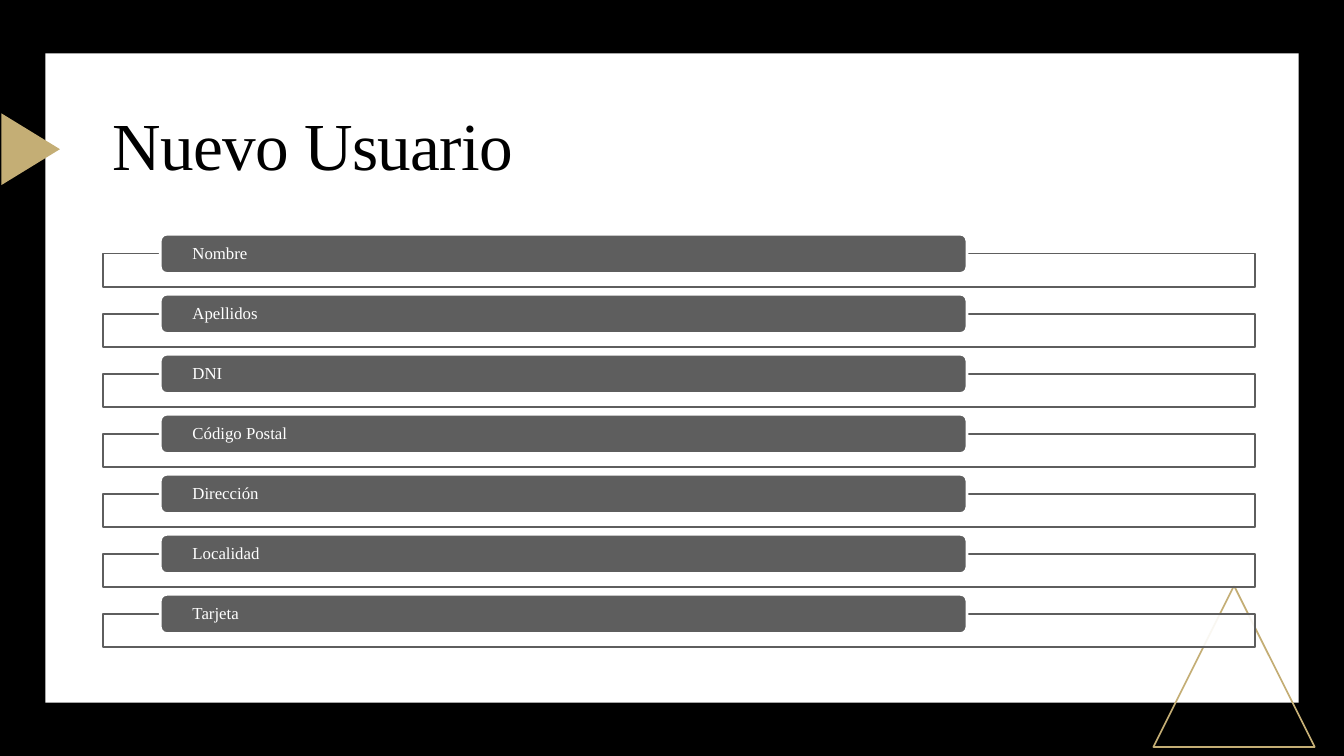
from dataclasses import dataclass
from typing import Optional

from lxml import etree
from pptx import Presentation
from pptx import util as u
from pptx.dml.color import RGBColor
from pptx.enum import shapes, text
from pptx.oxml import ns

BLACK = RGBColor(0x00, 0x00, 0x00)
WHITE = RGBColor(0xFF, 0xFF, 0xFF)
GOLD = RGBColor(0xC4, 0xAE, 0x75)
GREY = RGBColor(0x5E, 0x5E, 0x5E)
FONT = "Times New Roman"
WIDE, HIGH = u.Inches(13.33), u.Inches(7.5)
KIND = shapes.MSO_SHAPE
FIELDS = ["Nombre", "Apellidos", "DNI", "Código Postal", "Dirección", "Localidad", "Tarjeta"]
PITCH = 7.94


@dataclass(frozen=True)
class Area:
    """Percentages of the slide's width and height."""
    left: float
    top: float
    width: float
    height: float

    def down(self, row: int) -> "Area":
        return Area(self.left, self.top + row * PITCH, self.width, self.height)

    def size(self) -> tuple[int, ...]:
        pairs = ((self.left, WIDE), (self.top, HIGH), (self.width, WIDE), (self.height, HIGH))
        return tuple(round(share * full / 100) for share, full in pairs)


@dataclass(frozen=True)
class Style:
    kind: KIND
    fill: Optional[RGBColor] = None
    line: Optional[RGBColor] = None
    weight: float = 1.25
    alpha: int = 100
    turn: int = 0


PANEL = Style(KIND.RECTANGLE, WHITE)
PEAK = Style(KIND.ISOSCELES_TRIANGLE, line=GOLD)
MARK = Style(KIND.ISOSCELES_TRIANGLE, GOLD, turn=90)
FRAME = Style(KIND.RECTANGLE, WHITE, GREY, alpha=90)
BAR = Style(KIND.ROUNDED_RECTANGLE, GREY, WHITE, 2)

DECOR = [
    (PANEL, Area(3.38, 7.07, 93.25, 85.87)),
    (PEAK, Area(85.82, 77.47, 12, 21.33)),
    (MARK, Area(-0.38, 15.87, 5.33, 7.73)),
]
TITLE = Area(7.65, 13.07, 85.75, 13.33)
FRAMES = Area(7.65, 33.55, 85.75, 4.4)
BARS = Area(11.93, 30.97, 60.02, 5.2)


def draw(slide, style: Style, area: Area):
    shape = slide.shapes.add_shape(style.kind, *area.size())
    shape.shadow.inherit = False
    shape.rotation = style.turn
    if style.fill is None:
        shape.fill.background()
    else:
        shape.fill.solid()
        shape.fill.fore_color.rgb = style.fill
    if style.alpha < 100:
        tint = shape.fill._xPr.find(".//" + ns.qn("a:srgbClr"))
        etree.SubElement(tint, ns.qn("a:alpha"), val=str(style.alpha * 1000))
    if style.line is None:
        shape.line.fill.background()
    else:
        shape.line.color.rgb = style.line
        shape.line.width = u.Pt(style.weight)
    return shape


def write(shape, words: str, size: float, color: RGBColor):
    frame = shape.text_frame
    frame.text = words
    frame.word_wrap = True
    frame.vertical_anchor = text.MSO_ANCHOR.MIDDLE
    line = frame.paragraphs[0]
    line.alignment = text.PP_ALIGN.LEFT
    line.line_spacing = 0.9
    run = line.runs[0]
    run.font.name = FONT
    run.font.size = u.Pt(size)
    run.font.color.rgb = color
    return run


def field(slide, row: int, label: str) -> None:
    draw(slide, FRAME, FRAMES.down(row))
    bar = draw(slide, BAR, BARS.down(row))
    write(bar, label, 12, WHITE)
    frame = bar.text_frame
    frame.margin_left = frame.margin_right = u.Inches(0.3)
    frame.margin_top = frame.margin_bottom = 0


def main() -> None:
    deck = Presentation()
    deck.slide_width, deck.slide_height = WIDE, HIGH
    slide = deck.slides.add_slide(deck.slide_layouts[6])
    slide.background.fill.solid()
    slide.background.fill.fore_color.rgb = BLACK
    for style, area in DECOR:
        draw(slide, style, area)
    title = slide.shapes.add_textbox(*TITLE.size())
    run = write(title, "Nuevo Usuario", 48, BLACK)
    run.font._element.set("spc", "-50")
    for row, label in enumerate(FIELDS):
        field(slide, row, label)
    deck.save("out.pptx")


if __name__ == "__main__":
    main()
